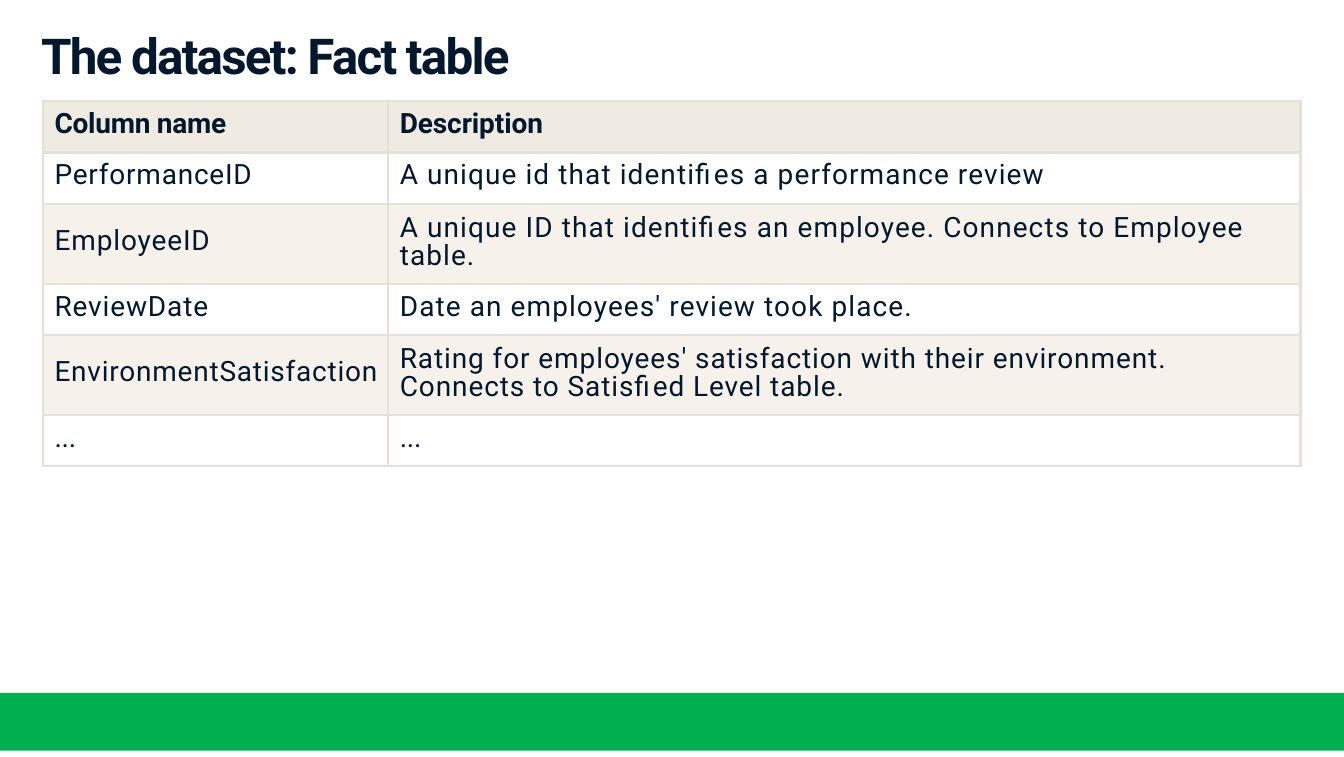
from lxml import etree
from pptx import Presentation
from pptx import util as u
from pptx.dml.color import RGBColor
from pptx.enum import shapes, text
from pptx.oxml.ns import qn

W, H = u.Inches(17.01), u.Inches(9.58)
INK, RULE, HEAD, BAND, WHITE, GREEN = "04182D", "E4E1D9", "EFEBE3", "F6F2EB", "FFFFFF", "00B050"
COLUMNS = (4.37, 11.55)
ROW, LINE = 0.65, 0.36
ROWS = [
    (("Column name", -0.25), ("Description", -0.1)),
    (("PerformanceID", 0.7), ("A unique id that identifies a performance review", 1)),
    (("EmployeeID", 0.8),
     ("A unique ID that identifies an employee. Connects to Employee table.", 1)),
    (("ReviewDate", 0.8), ("Date an employees' review took place.", 1)),
    (("EnvironmentSatisfaction", 0.7),
     ("Rating for employees' satisfaction with their environment. "
      "Connects to Satisfied Level table.", 0.83)),
    (("...", -0.2), ("...", -0.2)),
]
TWO_LINES = (2, 4)


def color(value):
    """Turn a hex string into a colour."""
    return RGBColor.from_string(value)


def paint(fill, value):
    """Give a fill one solid colour."""
    fill.solid()
    fill.fore_color.rgb = color(value)


def assign(obj, **values):
    """Set attributes from a dict of format values."""
    for name, value in values.items():
        setattr(obj, name, value)


def write(tf, words, spacing, size, bold, line=None):
    """Write one left-aligned paragraph with letter spacing in points."""
    p = tf.paragraphs[0]
    assign(p, alignment=text.PP_ALIGN.LEFT, line_spacing=line)
    r = p.add_run()
    r.text = words
    assign(r.font, name="Roboto", size=u.Pt(size), bold=bold)
    r.font.color.rgb = color(INK)
    r.font._element.set("spc", str(round(spacing * 100)))


def border(cell):
    """Rule all four sides of a cell."""
    tc_pr = cell._tc.get_or_add_tcPr()
    for side in ("a:lnL", "a:lnR", "a:lnT", "a:lnB"):
        ln = etree.SubElement(tc_pr, qn(side), w=str(u.Pt(2.25)))
        fill = etree.SubElement(ln, qn("a:solidFill"))
        etree.SubElement(fill, qn("a:srgbClr"), val=RULE)


def add_title(slide, words):
    """Place and format the title placeholder."""
    sp = slide.shapes.title
    assign(sp, left=u.Inches(0.52), top=u.Inches(0.3), width=u.Inches(6.7), height=u.Inches(0.78))
    tf = sp.text_frame
    assign(tf, margin_left=0, margin_right=0, margin_top=u.Inches(0.02), margin_bottom=0,
           vertical_anchor=text.MSO_ANCHOR.TOP, word_wrap=True,
           auto_size=text.MSO_AUTO_SIZE.SHAPE_TO_FIT_TEXT)
    write(tf, words, -1.65, 45, True)


def add_fact_table(slide):
    """Build the table of column names and descriptions."""
    heights = [ROW + LINE * (i in TWO_LINES) for i in range(len(ROWS))]
    table = slide.shapes.add_table(
        len(ROWS), len(COLUMNS), u.Inches(0.54), u.Inches(1.28),
        u.Inches(sum(COLUMNS)), u.Inches(sum(heights))).table
    assign(table, first_row=False, horz_banding=False)
    for column, width in zip(table.columns, COLUMNS):
        column.width = u.Inches(width)
    for i, row in enumerate(ROWS):
        table.rows[i].height = u.Inches(heights[i])
        for j, (words, spacing) in enumerate(row):
            cell = table.cell(i, j)
            tall = i in TWO_LINES
            top = (0.26, 0.15)[j] if tall else 0.08
            assign(cell, margin_left=u.Inches(0.15), margin_right=0,
                   margin_top=u.Inches(top), margin_bottom=0,
                   vertical_anchor=text.MSO_ANCHOR.TOP)
            border(cell)
            paint(cell.fill, HEAD if i == 0 else BAND if tall else WHITE)
            write(cell.text_frame, words, spacing, 25.5, i == 0,
                  u.Pt(25.8) if tall and j else None)


def add_footer_band(slide):
    """Draw the full-width band near the foot of the slide."""
    sp = slide.shapes.add_shape(
        shapes.MSO_SHAPE.RECTANGLE, 0, u.Inches(8.77), W, u.Inches(0.73))
    sp.shadow.inherit = False
    paint(sp.fill, GREEN)
    sp.line.fill.background()


def main():
    """Build and save the slide."""
    prs = Presentation()
    assign(prs, slide_width=W, slide_height=H)
    slide = prs.slides.add_slide(prs.slide_layouts[5])
    paint(slide.background.fill, WHITE)
    add_title(slide, "The dataset: Fact table")
    add_fact_table(slide)
    add_footer_band(slide)
    prs.save("out.pptx")


if __name__ == "__main__":
    main()
